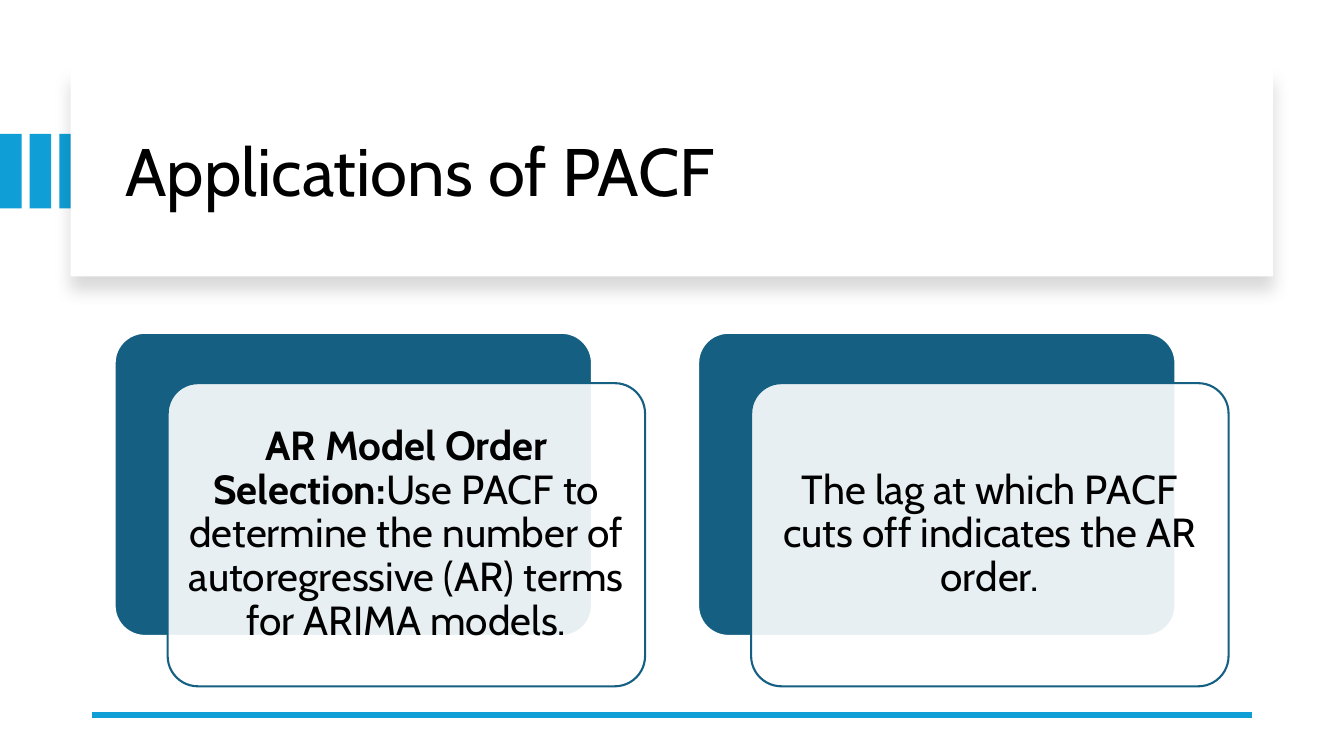
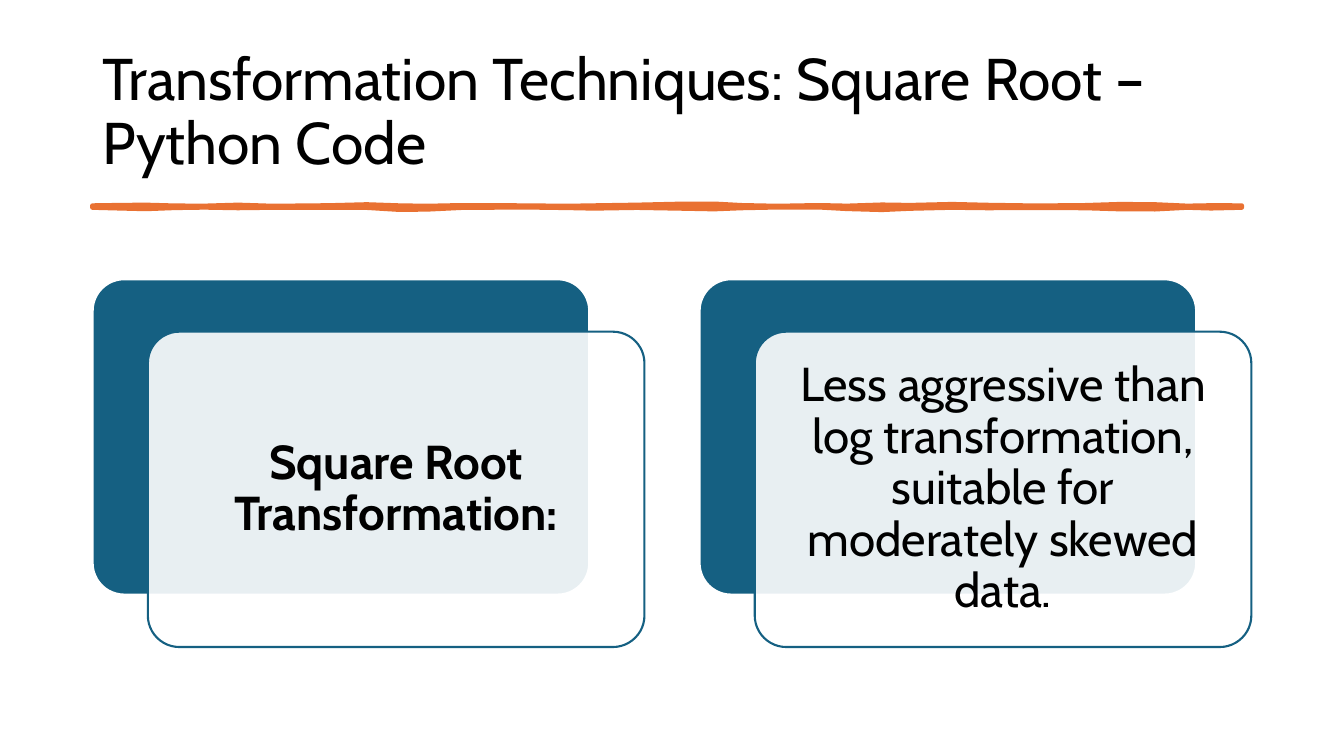
import dataclasses

import pptx
import pptx.dml.color
import pptx.enum.shapes
import pptx.enum.text
import pptx.oxml
import pptx.oxml.ns
import pptx.util

Pt = pptx.util.Pt
Shapes = pptx.enum.shapes.MSO_SHAPE
Align = pptx.enum.text.PP_ALIGN
qn = pptx.oxml.ns.qn


@dataclasses.dataclass(frozen=True)
class Theme:
    font: str = "Cabin"
    ink: str = "000000"
    paper: str = "FFFFFF"
    card: str = "156082"
    accent: str = "0F9ED5"
    brush: str = "E97132"
    title_large: int = 48
    title_medium: int = 42
    card_small: int = 29
    card_large: int = 34
    spacing: float = 0.9
    outline: float = 1.5


THEME = Theme()


def rgb(color):
    return pptx.dml.color.RGBColor.from_string(color)


def element(tag, **attributes):
    node = pptx.oxml.parse_xml(
        f'<a:{tag} xmlns:a="http://schemas.openxmlformats.org/drawingml/2006/main"/>')
    for name, value in attributes.items():
        node.set(name, str(value))
    return node


def write(shape, *pieces, size, align=Align.LEFT, inset=(7.2, 3.6)):
    frame = shape.text_frame
    frame.word_wrap = True
    frame.auto_size = pptx.enum.text.MSO_AUTO_SIZE.NONE
    frame.vertical_anchor = pptx.enum.text.MSO_ANCHOR.MIDDLE
    frame.margin_left = frame.margin_right = Pt(inset[0])
    frame.margin_top = frame.margin_bottom = Pt(inset[1])
    paragraph = frame.paragraphs[0]
    paragraph.alignment = align
    paragraph.line_spacing = THEME.spacing
    for text, bold in pieces:
        run = paragraph.add_run()
        run.text = text
        run.font.name = THEME.font
        run.font.size = Pt(size)
        run.font.bold = bold
        run.font.color.rgb = rgb(THEME.ink)


class Deck:
    def __init__(self):
        self.deck = pptx.Presentation()
        self.deck.slide_width = Pt(960)
        self.deck.slide_height = Pt(540)
        self.slide = None

    def new_slide(self):
        self.slide = self.deck.slides.add_slide(self.deck.slide_layouts[5])

    def title(self, text, left, top, width, height, size):
        title = self.slide.shapes.title
        title.left, title.top = Pt(left), Pt(top)
        title.width, title.height = Pt(width), Pt(height)
        write(title, (text, False), size=size)
        self.slide.shapes._spTree.append(title._element)

    def block(self, left, top, width, height, fill, line=None, kind=Shapes.RECTANGLE):
        block = self.slide.shapes.add_shape(kind, Pt(left), Pt(top), Pt(width), Pt(height))
        block.shadow.inherit = False
        block.fill.solid()
        block.fill.fore_color.rgb = rgb(fill)
        if line:
            block.line.color.rgb = rgb(line)
            block.line.width = Pt(THEME.outline)
        else:
            block.line.fill.background()
        return block

    def panel(self, left, top, width, height):
        panel = self.block(left, top, width, height, THEME.paper)
        shadow = element("outerShdw", blurRad=Pt(11), dist=Pt(10), dir=5400000,
                         algn="t", rotWithShape=0)
        tint = element("srgbClr", val=THEME.ink)
        tint.append(element("alpha", val=15000))
        shadow.append(tint)
        panel._element.spPr.find(qn("a:effectLst")).append(shadow)

    def bars(self, top, width, height, pitch, count):
        for index in range(count):
            self.block(index * pitch, top, width, height, THEME.accent)

    def rule(self, left, right, y):
        rule = self.slide.shapes.add_connector(
            pptx.enum.shapes.MSO_CONNECTOR.STRAIGHT, Pt(right), Pt(y), Pt(left), Pt(y))
        rule.line.color.rgb = rgb(THEME.accent)
        rule.line.width = Pt(4.5)
        rule._element.spPr.append(element("effectLst"))

    def brush_stroke(self, y, profile):
        upper = [(Pt(x), Pt(y - rise)) for x, rise, _ in profile]
        lower = [(Pt(x), Pt(y + fall)) for x, _, fall in reversed(profile)]
        builder = self.slide.shapes.build_freeform(*upper[0])
        builder.add_line_segments(upper[1:] + lower, close=True)
        stroke = builder.convert_to_shape()
        stroke.shadow.inherit = False
        stroke.fill.solid()
        stroke.fill.fore_color.rgb = rgb(THEME.brush)
        stroke.line.color.rgb = rgb(THEME.brush)
        stroke.line.width = Pt(3.25)
        stroke._element.spPr.find(qn("a:ln")).append(element("round"))

    def cards(self, left, top, width, size, contents):
        step = width / 9
        height = 0.635 * width
        inset = 0.3 * size
        for index, pieces in enumerate(contents):
            x = left + index * 11 * step
            back = self.block(x, top, width, height, THEME.card, THEME.paper,
                              Shapes.ROUNDED_RECTANGLE)
            front = self.block(x + step, top + 0.95 * step, width, height, THEME.paper,
                               THEME.card, Shapes.ROUNDED_RECTANGLE)
            for card in (back, front):
                card.adjustments[0] = 0.1
            fill = front._element.spPr.find(qn("a:solidFill"))
            fill[0].append(element("alpha", val=90000))
            write(front, *pieces, size=size, align=Align.CENTER, inset=(inset, inset))


def applications(deck):
    deck.new_slide()
    deck.bars(top=95.6, width=15.4, height=53.2, pitch=21.2, count=3)
    deck.panel(50.5, 48, 859, 149.4)
    deck.title("Applications of PACF", 82.4, 63.5, 801, 122.4, THEME.title_large)
    deck.rule(66, 894, 510.5)
    deck.cards(81.9, 237.7, 341, THEME.card_small, [
        [("AR Model Order Selection:", True),
         ("Use PACF to determine the number of autoregressive (AR) terms "
          "for ARIMA models.", False)],
        [("The lag at which PACF cuts off indicates the AR order.", False)],
    ])


def square_root(deck):
    deck.new_slide()
    deck.title("Transformation Techniques: Square Root – Python Code",
               66, 28.8, 828, 104.4, THEME.title_medium)
    deck.brush_stroke(147.6, [
        (66, 0.7, 0.7), (85, 1, 1.2), (104, 1.2, 1.7), (125, 0.6, 0.9), (146, 0.5, 0.6),
        (170, 1.2, 1), (195, 0.4, 0.7), (235, 0.8, 0.8), (262, 1.5, 0.8), (285, 0.7, 2.2),
        (305, 0.4, 2), (330, 0.9, 0.8), (375, 0.7, 0.5), (405, 0.4, 0.9),
        (424, 0.7, 1.3), (455, 1.2, 0.8), (490, 2, 1.4), (510, 2, 1.8), (530, 0.9, 1),
        (555, 0.4, 0.5), (585, 0.9, 0.5), (605, 0.5, 1.6), (630, 1.3, 2.3), (650, 1, 1.4),
        (680, 1.7, 0.7), (705, 1.1, 1), (740, 0.6, 0.9), (775, 0.9, 1), (800, 1.7, 1.8),
        (825, 1.5, 1.9), (848, 0.5, 0.7), (865, 0.8, 1.2), (887, 0.7, 0.7)])
    deck.cards(66.2, 199.5, 354.7, THEME.card_large, [
        [("Square Root Transformation:", True)],
        [("Less aggressive than log transformation, suitable for moderately "
          "skewed data.", False)],
    ])


def main():
    deck = Deck()
    applications(deck)
    square_root(deck)
    deck.deck.save("out.pptx")


if __name__ == "__main__":
    main()
